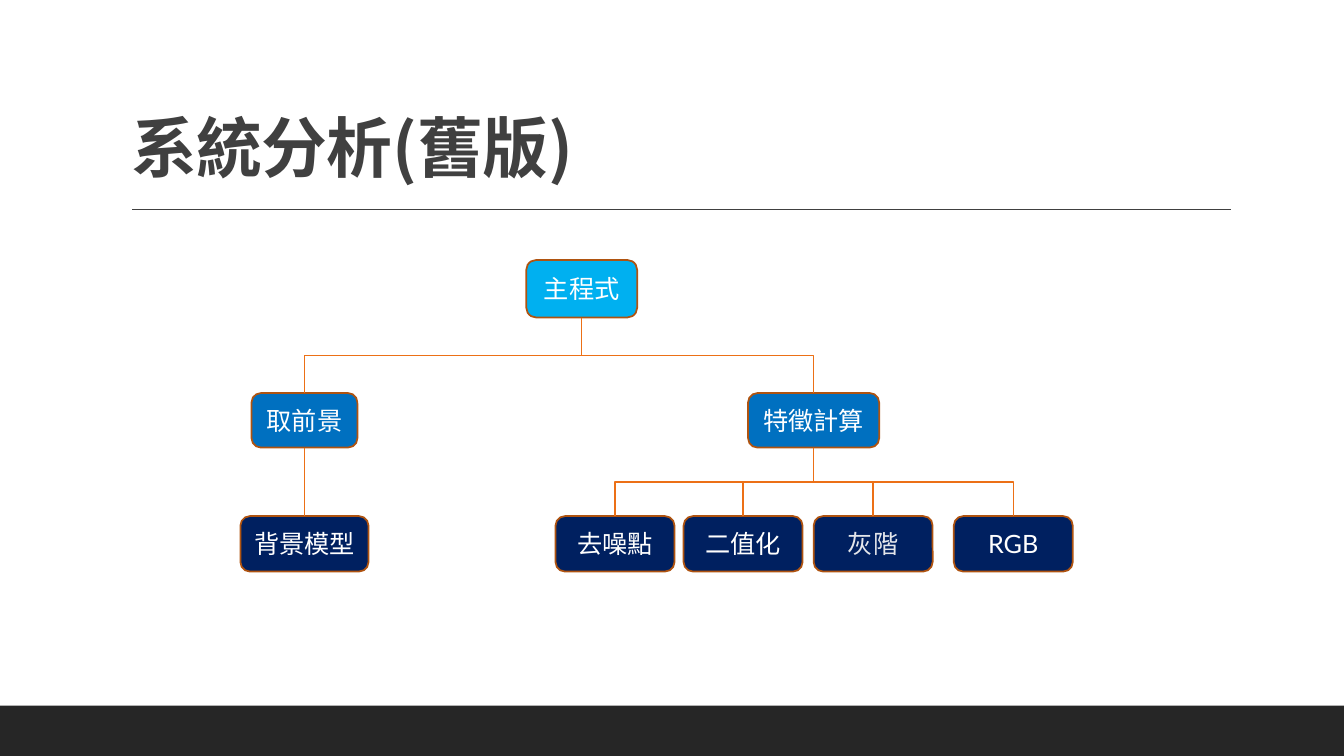
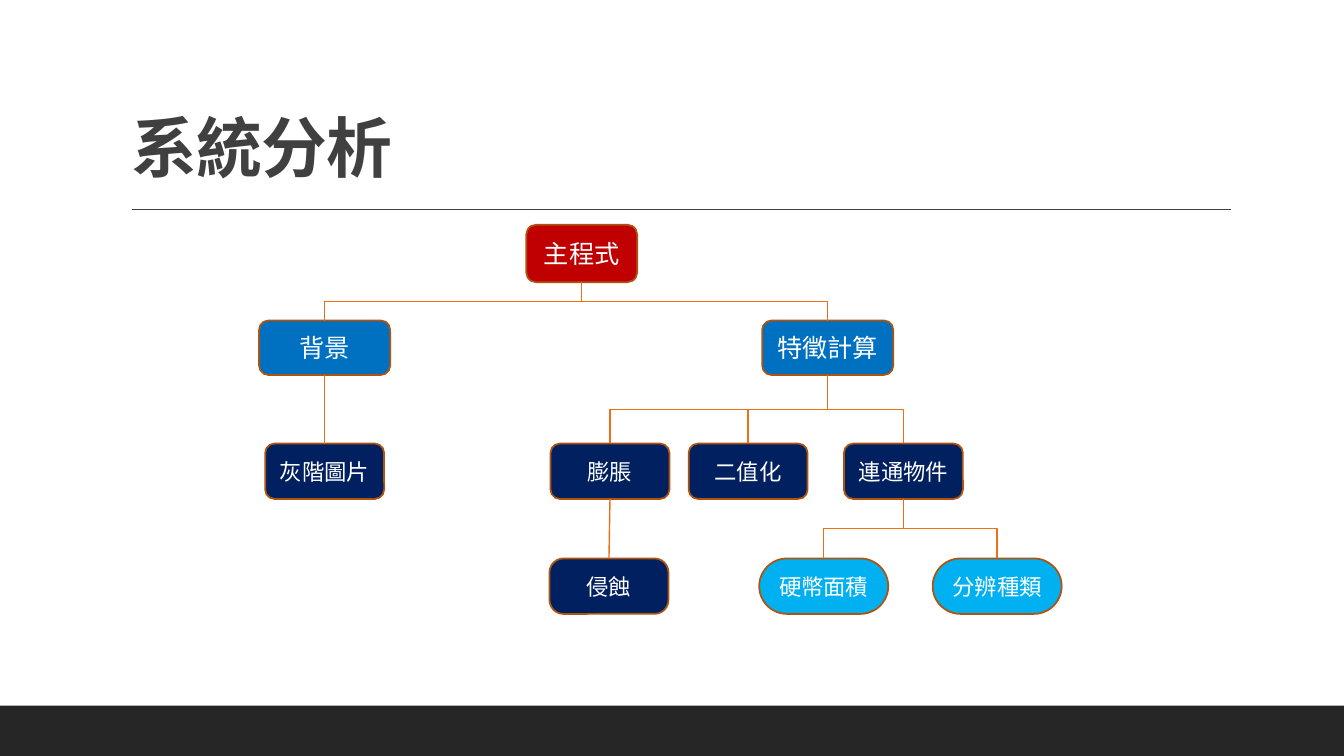
from dataclasses import dataclass

from lxml import etree
from pptx import Presentation
from pptx.dml.color import RGBColor
from pptx.enum.shapes import MSO_CONNECTOR, MSO_SHAPE
from pptx.enum.text import MSO_ANCHOR, MSO_AUTO_SIZE, PP_ALIGN
from pptx.oxml.ns import qn
from pptx.util import Inches, Pt

RECT = MSO_SHAPE.RECTANGLE
ROUND = MSO_SHAPE.ROUNDED_RECTANGLE
ELBOW = MSO_CONNECTOR.ELBOW
STRAIGHT = MSO_CONNECTOR.STRAIGHT
BOTTOM = MSO_ANCHOR.BOTTOM
MIDDLE = MSO_ANCHOR.MIDDLE
FIXED = MSO_AUTO_SIZE.NONE
LEFT = PP_ALIGN.LEFT
CENTER = PP_ALIGN.CENTER

WIDE, HIGH = 13.33, 7.5
HEIGHTS = (0.57, 0.54, 0.55, 0.55)
NEAR = 0.05


@dataclass(frozen=True)
class Theme:
    band: str = "262626"
    ink: str = "404040"
    edge: str = "AF5310"
    link: str = "EC7016"
    white: str = "FFFFFF"
    pale: str = "E4E6EB"
    sky: str = "00B0F0"
    blue: str = "0070C0"
    navy: str = "002060"
    red: str = "C00000"
    asian: str = "Noto Sans CJK TC"
    latin: str = "Lato"
    head: float = 47
    large: float = 18
    small: float = 16
    thin: float = 1
    thick: float = 1.25


THEME = Theme()


@dataclass(frozen=True)
class Node:
    text: str
    mid: float
    fill: str = THEME.navy
    width: float = 1.18
    size: float = THEME.large
    font: str = THEME.latin
    ink: str = THEME.white
    bend: float = 0.17
    kids: tuple = ()


@dataclass(frozen=True)
class Chart:
    title: str
    tops: tuple
    root: Node


CHARTS = (
    Chart("系統分析(舊版)", (2.58, 3.9, 5.12), Node(
        "主程式", 5.77, THEME.sky, 1.1, kids=(
            Node("取前景", 3.02, THEME.blue, 1.05, kids=(
                Node("背景模型", 3.02, width=1.27),)),
            Node("特徵計算", 8.07, THEME.blue, 1.3, kids=(
                Node("去噪點", 6.1),
                Node("二值化", 7.37, font="League Spartan"),
                Node("灰階", 8.66, font="Cabin", ink=THEME.pale),
                Node("RGB", 10.05))),
        ))),
    Chart("系統分析", (2.23, 3.18, 4.4, 5.54), Node(
        "主程式", 5.77, THEME.red, 1.1, kids=(
            Node("背景", 3.22, THEME.blue, 1.3, kids=(
                Node("灰階圖片", 3.22, size=THEME.small),)),
            Node("特徵計算", 8.21, THEME.blue, 1.3, kids=(
                Node("膨脹", 6.05, size=THEME.small, kids=(
                    Node("侵蝕", 6.04, size=THEME.small, bend=0.25),)),
                Node("二值化", 7.42, size=THEME.small),
                Node("連通物件", 8.96, size=THEME.small, kids=(
                    Node("硬幣面積", 8.17, THEME.sky, 1.28,
                         THEME.small, bend=0.5),
                    Node("分辨種類", 9.89, THEME.sky, 1.28,
                         THEME.small, bend=0.5))))),
        ))),
)


def apply(target, values: dict) -> None:
    for name, value in values.items():
        setattr(target, name, value)


def color(code: str) -> RGBColor:
    return RGBColor.from_string(code)


def paint(shape, code: str) -> None:
    shape.shadow.inherit = False
    shape.fill.solid()
    shape.fill.fore_color.rgb = color(code)


def stroke(line, code: str, width: float) -> None:
    line.color.rgb = color(code)
    line.width = Pt(width)


def write(frame, text: str, ink: str, frame_look: dict,
          para_look: dict, font_look: dict):
    apply(frame, frame_look)
    para = frame.paragraphs[0]
    apply(para, para_look)
    run = para.add_run()
    run.text = text
    apply(run.font, font_look)
    run.font.color.rgb = color(ink)
    props = run.font.fill and run._r.get_or_add_rPr()
    asian = etree.Element(qn("a:ea"), typeface=THEME.asian)
    props.find(qn("a:latin")).addnext(asian)
    return props


def wire(slide, kind, start: tuple, end: tuple, code: str):
    line = slide.shapes.add_connector(
        kind, *(Inches(value) for value in start + end))
    stroke(line.line, code, THEME.thin)
    etree.SubElement(line.element.spPr, qn("a:effectLst"))
    return line


def turn(line, start: tuple, end: tuple) -> None:
    wide, high = end[1] - start[1], abs(end[0] - start[0])
    apply(line, {
        "left": Inches((start[0] + end[0] - wide) / 2),
        "top": Inches((start[1] + end[1] - high) / 2),
        "width": Inches(wide),
        "height": Inches(high),
    })
    form = line.element.spPr.find(qn("a:xfrm"))
    for name in ("flipH", "flipV"):
        form.attrib.pop(name, None)
    if end[0] > start[0]:
        form.set("rot", "16200000")
        form.set("flipH", "1")
    else:
        form.set("rot", "5400000")


def join(slide, upper, lower, start: tuple, end: tuple) -> None:
    bent = abs(end[0] - start[0]) > NEAR
    line = wire(slide, ELBOW if bent else STRAIGHT, start, end, THEME.link)
    line.begin_connect(upper, 2)
    line.end_connect(lower, 0)
    if bent:
        turn(line, start, end)


def draw(slide, node: Node, tops: tuple, row: int = 0):
    top, high = tops[row], HEIGHTS[row]
    box = slide.shapes.add_shape(
        ROUND, Inches(node.mid - node.width / 2), Inches(top),
        Inches(node.width), Inches(high))
    box.adjustments[0] = node.bend
    paint(box, node.fill)
    stroke(box.line, THEME.edge, THEME.thick)
    write(box.text_frame, node.text, node.ink,
          {"vertical_anchor": MIDDLE, "word_wrap": True,
           "margin_left": 0, "margin_right": 0},
          {"alignment": CENTER},
          {"name": node.font, "size": Pt(node.size)})
    for kid in node.kids:
        lower = draw(slide, kid, tops, row + 1)
        join(slide, box, lower, (node.mid, top + high),
             (kid.mid, tops[row + 1]))
    return box


def dress(layout, slide) -> None:
    band = slide.shapes.add_shape(
        RECT, 0, Inches(HIGH * 14 / 15), Inches(WIDE), Inches(HIGH / 15))
    paint(band, THEME.band)
    band.line.fill.background()
    rule = wire(slide, STRAIGHT, (1.31, 2.08), (12.21, 2.08), THEME.ink)
    for part in (rule, band):
        layout.shapes.element.insert(2, part.element)
    for holder in layout.placeholders:
        if holder.placeholder_format.idx == 0:
            apply(holder, {"left": Inches(1.2), "top": Inches(0.31),
                           "width": Inches(11), "height": Inches(1.59)})


def name(slide, text: str) -> None:
    props = write(slide.shapes.title.text_frame, text, THEME.ink,
                  {"vertical_anchor": BOTTOM, "word_wrap": True,
                   "auto_size": FIXED},
                  {"alignment": LEFT, "line_spacing": 0.9},
                  {"name": THEME.asian, "size": Pt(THEME.head),
                   "bold": True})
    props.set("spc", "-50")


def main() -> None:
    deck = Presentation()
    apply(deck, {"slide_width": Inches(WIDE), "slide_height": Inches(HIGH)})
    layout = deck.slide_layouts[5]
    slides = [deck.slides.add_slide(layout) for _ in CHARTS]
    dress(layout, slides[0])
    for slide, chart in zip(slides, CHARTS):
        name(slide, chart.title)
        draw(slide, chart.root, chart.tops)
    deck.save("out.pptx")


if __name__ == "__main__":
    main()
